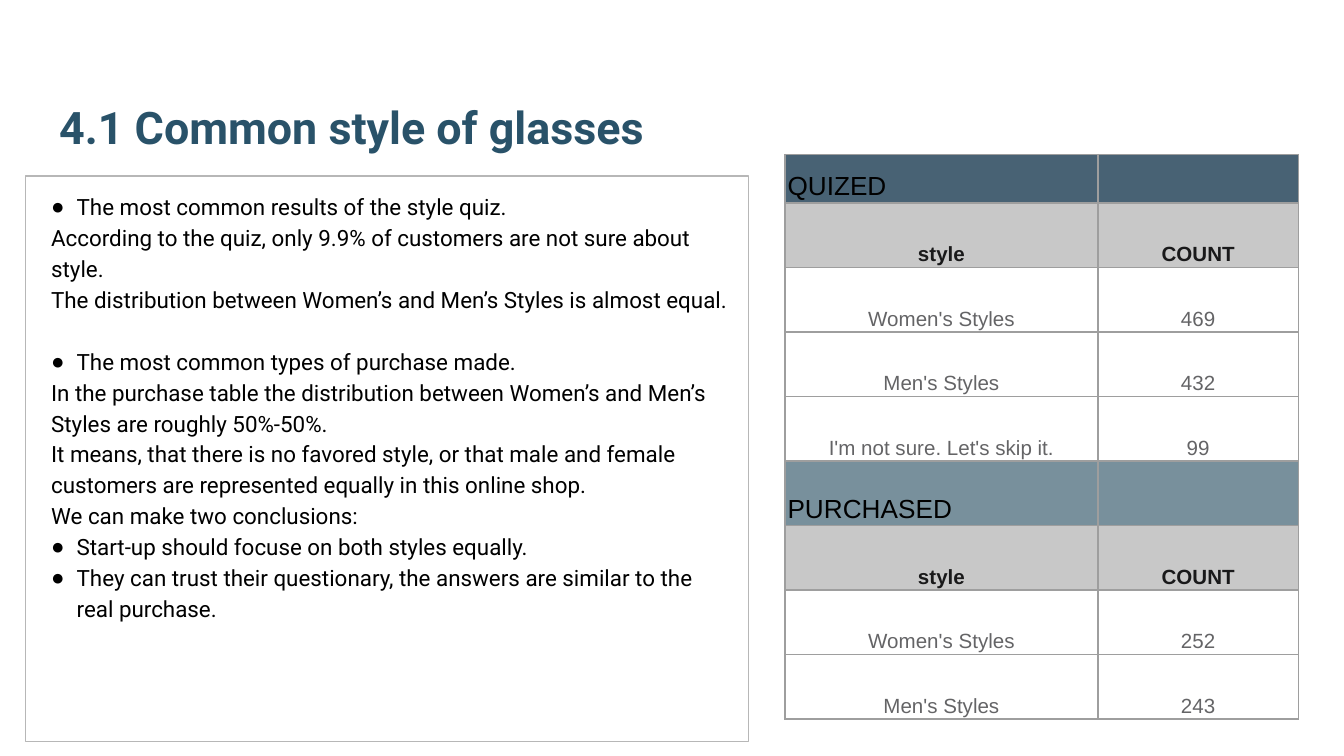
import pptx
import pptx.dml.color
import pptx.enum.text
import pptx.oxml
import pptx.oxml.ns
import pptx.util

Inches = pptx.util.Inches
Pt = pptx.util.Pt
RGBColor = pptx.dml.color.RGBColor
ANCHOR = pptx.enum.text.MSO_ANCHOR
ALIGN = pptx.enum.text.PP_ALIGN
NAMESPACE = pptx.oxml.ns.nsdecls("a")

TITLE_BLUE = RGBColor(0x29, 0x52, 0x69)
BLACK = RGBColor(0, 0, 0)
FRAME_GRAY = RGBColor(0xB7, 0xB7, 0xB7)
BORDER_GRAY = RGBColor(0x9E, 0x9E, 0x9E)
QUIZ_BLUE = RGBColor(0x20, 0x40, 0x56)
PURCHASE_BLUE = RGBColor(0x78, 0x90, 0x9C)
HEADING_GRAY = RGBColor(0xC8, 0xC8, 0xC8)
HEADING_TEXT = RGBColor(0x19, 0x19, 0x1A)
DATA_TEXT = RGBColor(0x64, 0x64, 0x66)

# (has bullet, text)
FINDINGS = [
    (True, "The most common results of the style quiz."),
    (False, "According to the quiz, only 9.9% of customers are not sure about style."),
    (False, "The distribution between Women’s and Men’s Styles is almost equal."),
    (True, "The most common types of purchase made."),
    (False, "In the purchase table the distribution between Women’s and Men’s "
            "Styles are roughly 50%-50%."),
    (False, "It means, that there is no favored style, or that male and female "
            "customers are represented equally in this online shop."),
    (False, "We can make two conclusions:"),
    (True, "Start-up should focuse on both styles equally."),
    (True, "They can trust their questionary, the answers are similar to the real purchase."),
]
SECOND_TOPIC = 3

# (name, fill, opacity in percent, rows)
SECTIONS = [
    ("QUIZED", QUIZ_BLUE, 82,
     [("Women's Styles", 469), ("Men's Styles", 432), ("I'm not sure. Let's skip it.", 99)]),
    ("PURCHASED", PURCHASE_BLUE, 100, [("Women's Styles", 252), ("Men's Styles", 243)]),
]


def place(shape, box):
    shape.left, shape.top, shape.width, shape.height = (Inches(length) for length in box)


def set_margins(target, left, top, right, bottom):
    target.margin_left, target.margin_top = Inches(left), Inches(top)
    target.margin_right, target.margin_bottom = Inches(right), Inches(bottom)


def style_font(font, name, size, color, bold=False):
    font.name, font.size, font.bold = name, Pt(size), bold
    font.color.rgb = color


def add_title(slide, box, text):
    title = slide.shapes.title
    place(title, box)
    frame = title.text_frame
    frame.text = text
    frame.auto_size = pptx.enum.text.MSO_AUTO_SIZE.NONE
    frame.vertical_anchor = ANCHOR.BOTTOM
    set_margins(frame, 0.1, 0.1, 0.1, 0.1)
    paragraph = frame.paragraphs[0]
    paragraph.alignment = ALIGN.LEFT
    style_font(paragraph.runs[0].font, "Roboto", 24, TITLE_BLUE, True)


def set_bullet(paragraph, bulleted):
    properties = paragraph._p.get_or_add_pPr()
    indent = Inches(0.19) if bulleted else 0
    properties.set("marL", str(indent))
    properties.set("indent", str(-indent))
    if bulleted:
        properties.append(pptx.oxml.parse_xml(
            f'<a:buClr {NAMESPACE}><a:srgbClr val="{BLACK}"/></a:buClr>'))
        properties.append(pptx.oxml.parse_xml(f'<a:buChar {NAMESPACE} char="●"/>'))
    else:
        properties.append(pptx.oxml.parse_xml(f'<a:buNone {NAMESPACE}/>'))


def add_findings(slide, box):
    body = slide.placeholders[1]
    place(body, box)
    body.line.color.rgb = FRAME_GRAY
    body.line.width = Pt(0.75)
    frame = body.text_frame
    frame.word_wrap = True
    frame.auto_size = pptx.enum.text.MSO_AUTO_SIZE.NONE
    frame.vertical_anchor = ANCHOR.TOP
    set_margins(frame, 0.19, 0.1, 0.1, 0.1)
    frame.text = "\n".join(text for _, text in FINDINGS)
    for paragraph, (bulleted, _) in zip(frame.paragraphs, FINDINGS):
        set_bullet(paragraph, bulleted)
        paragraph.alignment = ALIGN.LEFT
        paragraph.line_spacing = 1.15
        paragraph.space_before = Pt(0)
        style_font(paragraph.runs[0].font, "Roboto", 12, BLACK)
    frame.paragraphs[SECOND_TOPIC].space_before = Pt(16.5)


def add_borders(cell):
    properties = cell._tc.get_or_add_tcPr()
    for side in ("lnL", "lnR", "lnT", "lnB"):
        properties.append(pptx.oxml.parse_xml(
            f'<a:{side} {NAMESPACE} w="{Pt(0.75)}"><a:solidFill>'
            f'<a:srgbClr val="{BORDER_GRAY}"/></a:solidFill></a:{side}>'))


def fill_cell(cell, text, size, color, bold=False, alignment=ALIGN.CENTER,
              fill=None, opacity=100):
    cell.text = text
    cell.vertical_anchor = ANCHOR.BOTTOM
    set_margins(cell, 0.02, 0.01, 0.02, 0.01)
    paragraph = cell.text_frame.paragraphs[0]
    paragraph.alignment = alignment
    for run in paragraph.runs:
        style_font(run.font, "Arial", size, color, bold)
    add_borders(cell)
    if fill is None:
        cell.fill.background()
        return
    cell.fill.solid()
    cell.fill.fore_color.rgb = fill
    if opacity < 100:
        fill_color = cell._tc.tcPr.find(pptx.oxml.ns.qn("a:solidFill"))[0]
        fill_color.append(pptx.oxml.parse_xml(
            f'<a:alpha {NAMESPACE} val="{opacity * 1000}"/>'))


def add_count_table(slide, box):
    rows = []
    for name, fill, opacity, counts in SECTIONS:
        rows.append(((name, ""), dict(size=14, color=BLACK, alignment=ALIGN.LEFT,
                                      fill=fill, opacity=opacity)))
        rows.append((("style", "COUNT"), dict(size=11, color=HEADING_TEXT, bold=True,
                                              fill=HEADING_GRAY)))
        rows += [((style, str(count)), dict(size=11, color=DATA_TEXT))
                 for style, count in counts]
    table = slide.shapes.add_table(len(rows), 2, *(Inches(length) for length in box)).table
    table.first_row = table.horz_banding = False
    first_width, first_height = 2.33, 0.36
    table.columns[0].width = Inches(first_width)
    table.columns[1].width = Inches(box[2] - first_width)
    row_height = (box[3] - first_height) / (len(rows) - 1)
    for index, (texts, style) in enumerate(rows):
        table.rows[index].height = Inches(row_height if index else first_height)
        for column, text in enumerate(texts):
            fill_cell(table.cell(index, column), text, **style)


def main():
    presentation = pptx.Presentation()
    presentation.slide_width = Inches(10)
    presentation.slide_height = presentation.slide_width * 9 // 16
    slide = presentation.slides.add_slide(presentation.slide_layouts[1])
    add_title(slide, (0.34, 0.32, 9.32, 0.92), "4.1 Common style of glasses")
    add_findings(slide, (0.19, 1.31, 5.38, 4.21))
    add_count_table(slide, (5.84, 1.15, 3.82, 4.2))
    presentation.save("out.pptx")


if __name__ == "__main__":
    main()
